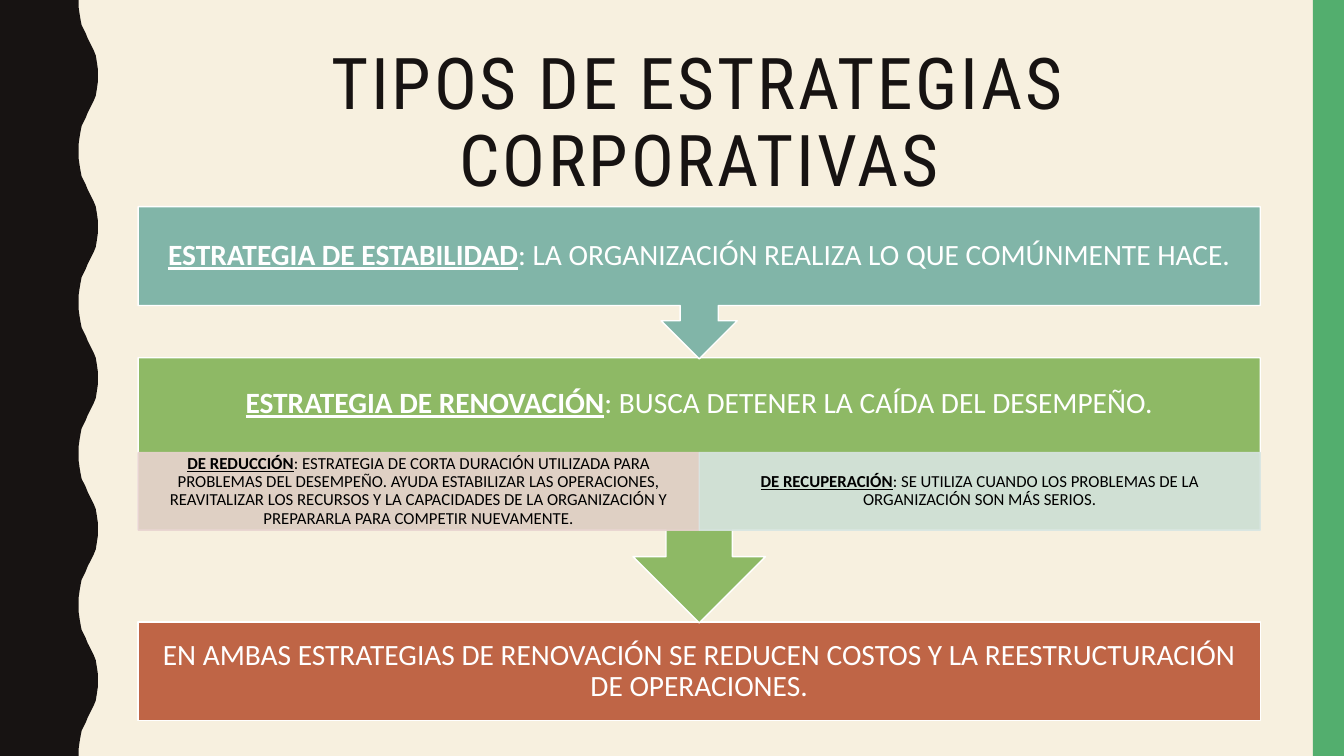
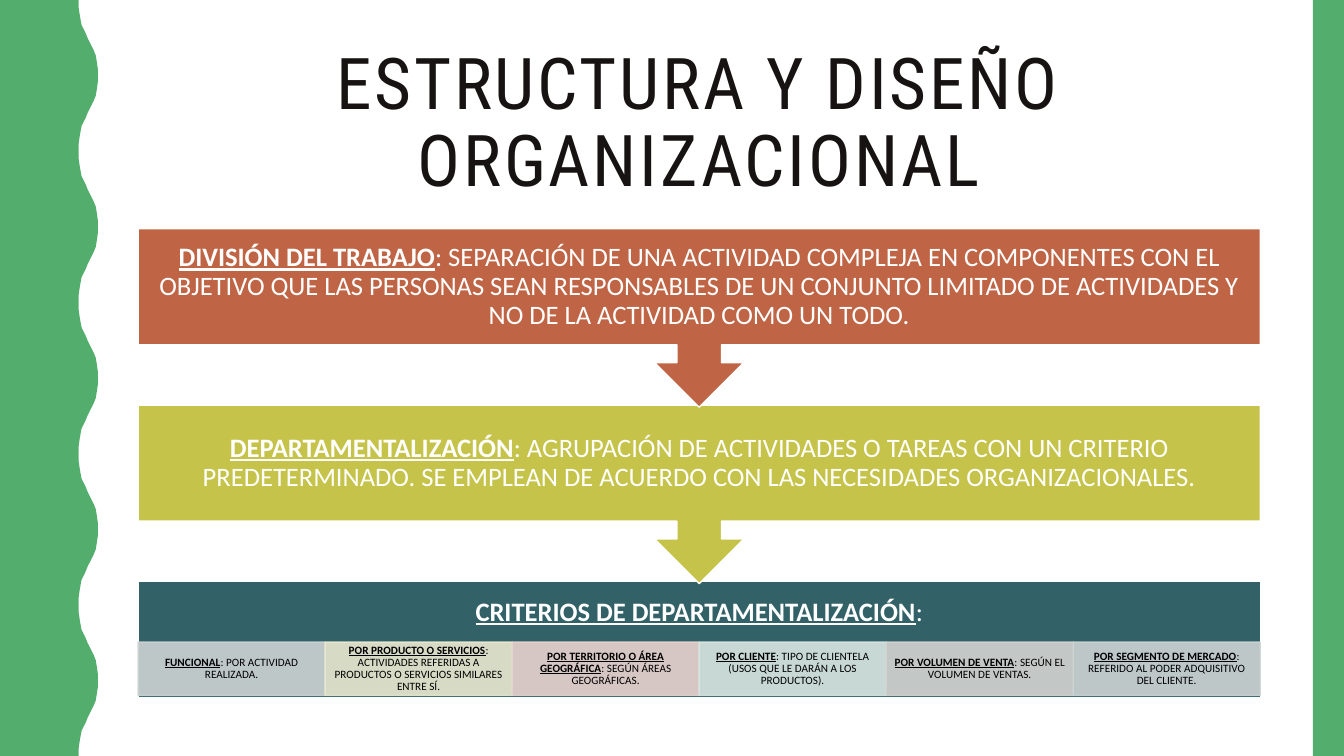
from dataclasses import dataclass

from lxml.etree import SubElement
from pptx import Presentation
from pptx.dml.color import RGBColor
from pptx.enum.shapes import MSO_SHAPE as Preset
from pptx.enum.text import MSO_ANCHOR as Anchor, MSO_AUTO_SIZE as AutoSize, PP_ALIGN as Align
from pptx.oxml.ns import qn
from pptx.util import Inches, Pt


@dataclass(frozen=True)
class Theme:
    ink: str = "171312"
    cream: str = "F7F0DF"
    white: str = "FFFFFF"
    black: str = "000000"
    green: str = "53AE6E"
    teal: str = "81B5A8"
    leaf: str = "8EB965"
    rust: str = "BF6546"
    olive: str = "C5C34A"
    petrol: str = "326267"
    pale_rust: str = "E8D3CF"
    pale_teal: str = "D8E5E1"
    pale_petrol: str = "CED3D3"
    pale_olive: str = "EAE9D0"
    pale_grey: str = "D3D3D1"
    title_font: str = "Roboto Condensed"
    body_font: str = "Calibri"
    title_size: int = 51
    line_spacing: float = 0.9


THEME = Theme()
SLIDE_W, SLIDE_H = 13.33, 7.5
LEFT, WIDTH = 1.37, 11.13
EDGE_W = 0.31
WAVE_PERIOD = 1.5
# Left half of one wave, as (x, y); the other half mirrors it.
WAVE_RISE = [(0.78, 0), (0.78, 0.07), (0.79, 0.14), (0.8, 0.2), (0.81, 0.25),
             (0.83, 0.29), (0.85, 0.33), (0.87, 0.38), (0.89, 0.42), (0.91, 0.46),
             (0.93, 0.5), (0.95, 0.55), (0.96, 0.61), (0.97, 0.68), (0.97, 0.75)]


def rgb(color):
    return RGBColor.from_string(color)


def paint(shape, fill, line=None):
    shape.shadow.inherit = False
    shape.fill.solid()
    shape.fill.fore_color.rgb = rgb(fill)
    if line:
        shape.line.color.rgb = rgb(line)
        shape.line.width = Pt(1)
    else:
        shape.line.fill.background()


def make_translucent(shape, percent):
    """Apply the same opacity to the fill and the outline."""
    for color in shape.element.spPr.iter(qn("a:srgbClr")):
        SubElement(color, qn("a:alpha")).set("val", str(percent * 1000))


def write(shape, term, description, size, color, insets):
    """Centre an underlined bold term followed by its description."""
    frame = shape.text_frame
    frame.word_wrap = True
    frame.vertical_anchor = Anchor.MIDDLE
    (frame.margin_left, frame.margin_top,
     frame.margin_right, frame.margin_bottom) = map(Inches, insets)
    paragraph = frame.paragraphs[0]
    paragraph.alignment = Align.CENTER
    paragraph.line_spacing = THEME.line_spacing
    for text, is_term in ((term, True), (description, False)):
        if text:
            run = paragraph.add_run()
            run.text = text
            font = run.font
            font.name, font.size = THEME.body_font, Pt(size)
            font.color.rgb = rgb(color)
            font.bold = font.underline = is_term


def add_step(slide, preset, top, height, fill, term, description, size, inset, below=0):
    """Add a full-width step, keeping the depth `below` free of text."""
    step = slide.shapes.add_shape(preset, Inches(LEFT), Inches(top), Inches(WIDTH), Inches(height))
    paint(step, fill, THEME.white)
    write(step, term, description, size, THEME.white, (inset, inset, inset, inset + below))


def add_details(slide, top, height, details, size, side_inset, end_inset):
    """Split the full width into equal cells of (fill, term, description)."""
    width = WIDTH / len(details)
    for index, (fill, term, description) in enumerate(details):
        cell = slide.shapes.add_shape(Preset.RECTANGLE, Inches(LEFT + index * width),
                                      Inches(top), Inches(width), Inches(height))
        paint(cell, fill, fill)
        make_translucent(cell, 90)
        write(cell, term, description, size, THEME.black,
              (side_inset, end_inset, side_inset, end_inset))


def add_wave(slide, color):
    half = WAVE_RISE + [(x, WAVE_PERIOD - y) for x, y in WAVE_RISE[-2::-1]]
    edge = [(x, y + n * WAVE_PERIOD)
            for n in range(round(SLIDE_H / WAVE_PERIOD)) for x, y in half]
    builder = slide.shapes.build_freeform(0, 0)
    builder.add_line_segments([(Inches(x), Inches(y)) for x, y in edge + [(0, SLIDE_H)]], close=True)
    paint(builder.convert_to_shape(), color)


def add_title(slide, text):
    title = slide.shapes.title
    title.left, title.top, title.width, title.height = map(Inches, (LEFT, 0.42, WIDTH, 1.63))
    frame = title.text_frame
    frame.text = text
    frame.word_wrap = True
    frame.auto_size = AutoSize.NONE
    frame.vertical_anchor = Anchor.MIDDLE
    paragraph = frame.paragraphs[0]
    paragraph.alignment = Align.CENTER
    paragraph.line_spacing = THEME.line_spacing
    run = paragraph.runs[0]
    run.font.name, run.font.size = THEME.title_font, Pt(THEME.title_size)
    run.font.color.rgb = rgb(THEME.ink)
    run.font._element.set("spc", "200")


def add_slide(deck, title, background, wave_color):
    slide = deck.slides.add_slide(deck.slide_layouts[5])
    slide.background.fill.solid()
    slide.background.fill.fore_color.rgb = rgb(background)
    add_wave(slide, wave_color)
    edge = slide.shapes.add_shape(Preset.RECTANGLE, Inches(SLIDE_W - EDGE_W), 0,
                                  Inches(EDGE_W), Inches(SLIDE_H))
    paint(edge, THEME.green)
    add_title(slide, title)
    return slide


def add_strategies(deck):
    slide = add_slide(deck, "TIPOS DE ESTRATEGIAS CORPORATIVAS", THEME.cream, THEME.ink)
    size, inset = 21, 0.16
    # Steps run from the bottom up so that each arrow tip lies over the next step.
    add_step(slide, Preset.RECTANGLE, 6.17, 0.98, THEME.rust, "",
             "EN AMBAS ESTRATEGIAS DE RENOVACIÓN SE REDUCEN COSTOS Y LA "
             "REESTRUCTURACIÓN DE OPERACIONES.", size, inset)
    add_step(slide, Preset.DOWN_ARROW_CALLOUT, 3.55, 2.63, THEME.leaf,
             "ESTRATEGIA DE RENOVACIÓN", ": BUSCA DETENER LA CAÍDA DEL DESEMPEÑO.",
             size, inset, below=0.79)
    add_details(slide, 4.49, 0.77, [
        (THEME.pale_rust, "DE REDUCCIÓN",
         ": ESTRATEGIA DE CORTA DURACIÓN UTILIZADA PARA PROBLEMAS DEL DESEMPEÑO. AYUDA "
         "ESTABILIZAR LAS OPERACIONES, REAVITALIZAR LOS RECURSOS Y LA CAPACIDADES DE LA "
         "ORGANIZACIÓN Y PREPARARLA PARA COMPETIR NUEVAMENTE."),
        (THEME.pale_teal, "DE RECUPERACIÓN",
         ": SE UTILIZA CUANDO LOS PROBLEMAS DE LA ORGANIZACIÓN SON MÁS SERIOS."),
    ], size=12, side_inset=0.09, end_inset=0.02)
    add_step(slide, Preset.DOWN_ARROW_CALLOUT, 2.05, 1.51, THEME.teal,
             "ESTRATEGIA DE ESTABILIDAD",
             ": LA ORGANIZACIÓN REALIZA LO QUE COMÚNMENTE HACE.", size, inset)


def add_structure(deck):
    slide = add_slide(deck, "ESTRUCTURA Y DISEÑO ORGANIZACIONAL", THEME.white, THEME.green)
    size, inset = 19, 0.15
    add_step(slide, Preset.RECTANGLE, 5.77, 1.15, THEME.petrol,
             "CRITERIOS DE DEPARTAMENTALIZACIÓN", ":", size, inset, below=0.53)
    add_details(slide, 6.37, 0.53, [
        (THEME.pale_petrol, "FUNCIONAL", ": POR ACTIVIDAD REALIZADA."),
        (THEME.pale_olive, "POR PRODUCTO O SERVICIOS",
         ": ACTIVIDADES REFERIDAS A PRODUCTOS O SERVICIOS SIMILARES ENTRE SÍ."),
        (THEME.pale_rust, "POR TERRITORIO O ÁREA GEOGRÁFICA", ": SEGÚN ÁREAS GEOGRÁFICAS."),
        (THEME.pale_teal, "POR CLIENTE",
         ": TIPO DE CLIENTELA (USOS QUE LE DARÁN A LOS PRODUCTOS)."),
        (THEME.pale_grey, "POR VOLUMEN DE VENTA", ": SEGÚN EL VOLUMEN DE VENTAS."),
        (THEME.pale_petrol, "POR SEGMENTO DE MERCADO",
         ": REFERIDO AL PODER ADQUISITIVO DEL CLIENTE."),
    ], size=8, side_inset=0.06, end_inset=0.01)
    add_step(slide, Preset.DOWN_ARROW_CALLOUT, 4.02, 1.77, THEME.olive,
             "DEPARTAMENTALIZACIÓN",
             ": AGRUPACIÓN DE ACTIVIDADES O TAREAS CON UN CRITERIO PREDETERMINADO. SE EMPLEAN "
             "DE ACUERDO CON LAS NECESIDADES ORGANIZACIONALES.", size, inset)
    add_step(slide, Preset.DOWN_ARROW_CALLOUT, 2.27, 1.77, THEME.rust,
             "DIVISIÓN DEL TRABAJO",
             ": SEPARACIÓN DE UNA ACTIVIDAD COMPLEJA EN COMPONENTES CON EL OBJETIVO QUE LAS "
             "PERSONAS SEAN RESPONSABLES DE UN CONJUNTO LIMITADO DE ACTIVIDADES Y NO DE LA "
             "ACTIVIDAD COMO UN TODO.", size, inset)


def main():
    deck = Presentation()
    deck.slide_width, deck.slide_height = Inches(SLIDE_W), Inches(SLIDE_H)
    add_strategies(deck)
    add_structure(deck)
    deck.save("out.pptx")


if __name__ == "__main__":
    main()
